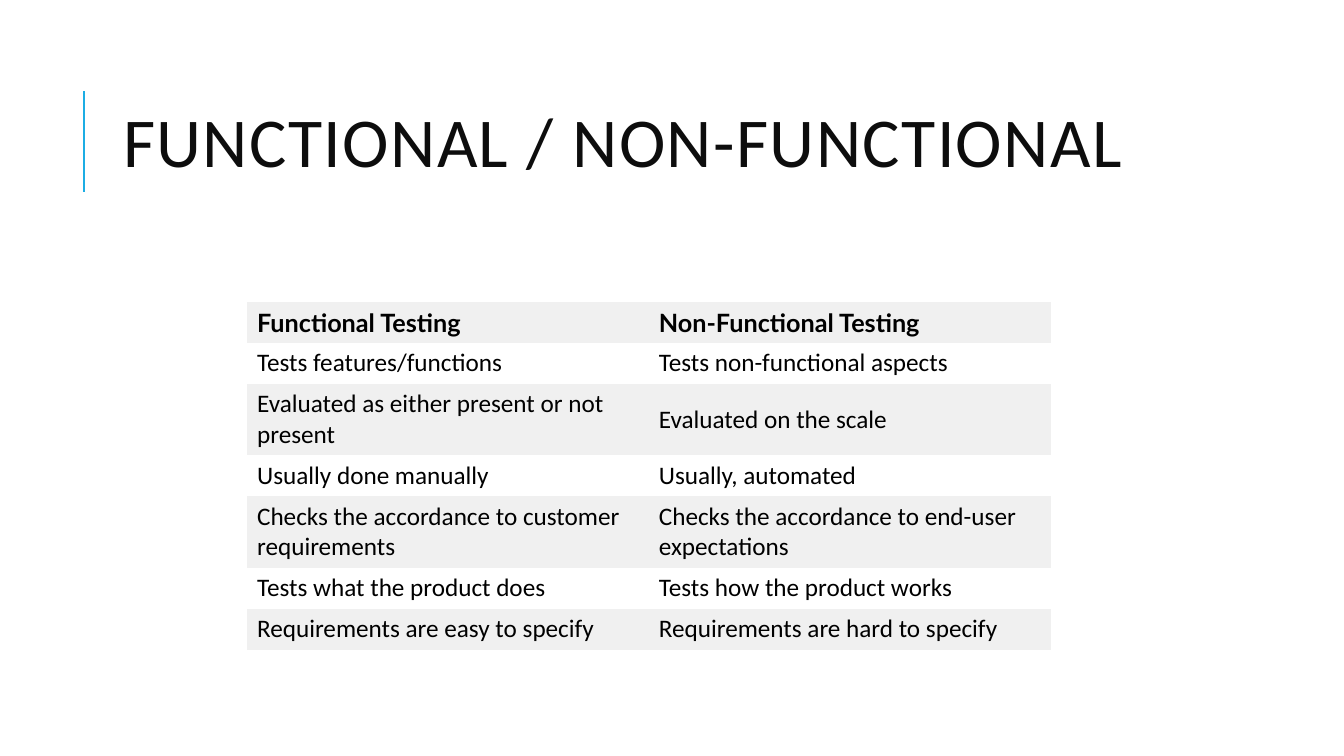
from lxml.etree import SubElement
from pptx import Presentation
from pptx.dml.color import RGBColor
from pptx.enum.shapes import MSO_CONNECTOR
from pptx.enum.text import MSO_ANCHOR, MSO_AUTO_SIZE, PP_ALIGN
from pptx.oxml.ns import qn
from pptx.util import Inches, Pt

COLORS = {"accent": "1CADE4", "title": "0D0D0D", "text": "000000", "band": "F0F0F0"}
NO_GRID_STYLE = "{2D5ABB26-0587-4C30-8999-92F81FD0307C}"
ROWS = [
    ("Functional Testing", "Non-Functional Testing"),
    ("Tests features/functions", "Tests non-functional aspects"),
    ("Evaluated as either present or not present", "Evaluated on the scale"),
    ("Usually done manually", "Usually, automated"),
    ("Checks the accordance to customer requirements",
     "Checks the accordance to end-user expectations"),
    ("Tests what the product does", "Tests how the product works"),
    ("Requirements are easy to specify", "Requirements are hard to specify"),
]


def rgb(name):
    return RGBColor.from_string(COLORS[name])


def write(tf, text, size=18, font="Calibri", color="text", bold=False,
          line_spacing=None, tracking=None):
    p = tf.paragraphs[0]
    p.alignment = PP_ALIGN.LEFT
    p.line_spacing = line_spacing
    r = p.add_run()
    r.text = text
    r.font.size = Pt(size)
    r.font.name = font
    r.font.bold = bold
    r.font.color.rgb = rgb(color)
    if tracking:
        r.font._element.set("spc", str(tracking * 100))


def add_rule(slide, x, top, bottom):
    line = slide.shapes.add_connector(
        MSO_CONNECTOR.STRAIGHT, Inches(x), Inches(bottom), Inches(x), Inches(top))
    line.line.color.rgb = rgb("accent")
    line.line.width = Pt(1.5)
    SubElement(line._element.spPr, qn("a:effectLst"))


def set_title(slide, text):
    sp = slide.shapes.title
    sp.left, sp.top, sp.width, sp.height = map(Inches, (1.12, 0.64, 10.63, 1.64))
    tf = sp.text_frame
    tf.word_wrap = True
    tf.auto_size = MSO_AUTO_SIZE.NONE
    tf.vertical_anchor = MSO_ANCHOR.MIDDLE
    write(tf, text, size=50, color="title", line_spacing=0.8, tracking=1)


def add_comparison(slide, rows):
    row_height = Inches(0.4)
    frame = slide.shapes.add_table(
        len(rows), 2, Inches(2.45), Inches(3), Inches(7.97), row_height * len(rows))
    table = frame.table
    table.horz_banding = False
    table._tbl.tblPr.find(qn("a:tableStyleId")).text = NO_GRID_STYLE
    for i, texts in enumerate(rows):
        table.rows[i].height = row_height
        header = i == 0
        for j, text in enumerate(texts):
            cell = table.cell(i, j)
            cell.vertical_anchor = MSO_ANCHOR.MIDDLE
            if i % 2 == 0:
                cell.fill.solid()
                cell.fill.fore_color.rgb = rgb("band")
            else:
                cell.fill.background()
            write(cell.text_frame, text, font="Lato" if header else "Calibri", bold=header)


def main():
    prs = Presentation()
    prs.slide_width, prs.slide_height = Inches(13.33), Inches(7.5)
    slide = prs.slides.add_slide(prs.slide_layouts[5])
    add_rule(slide, 0.83, 0.9, 1.9)
    set_title(slide, "FUNCTIONAL / NON-FUNCTIONAL")
    add_comparison(slide, ROWS)
    prs.save("out.pptx")


main()
